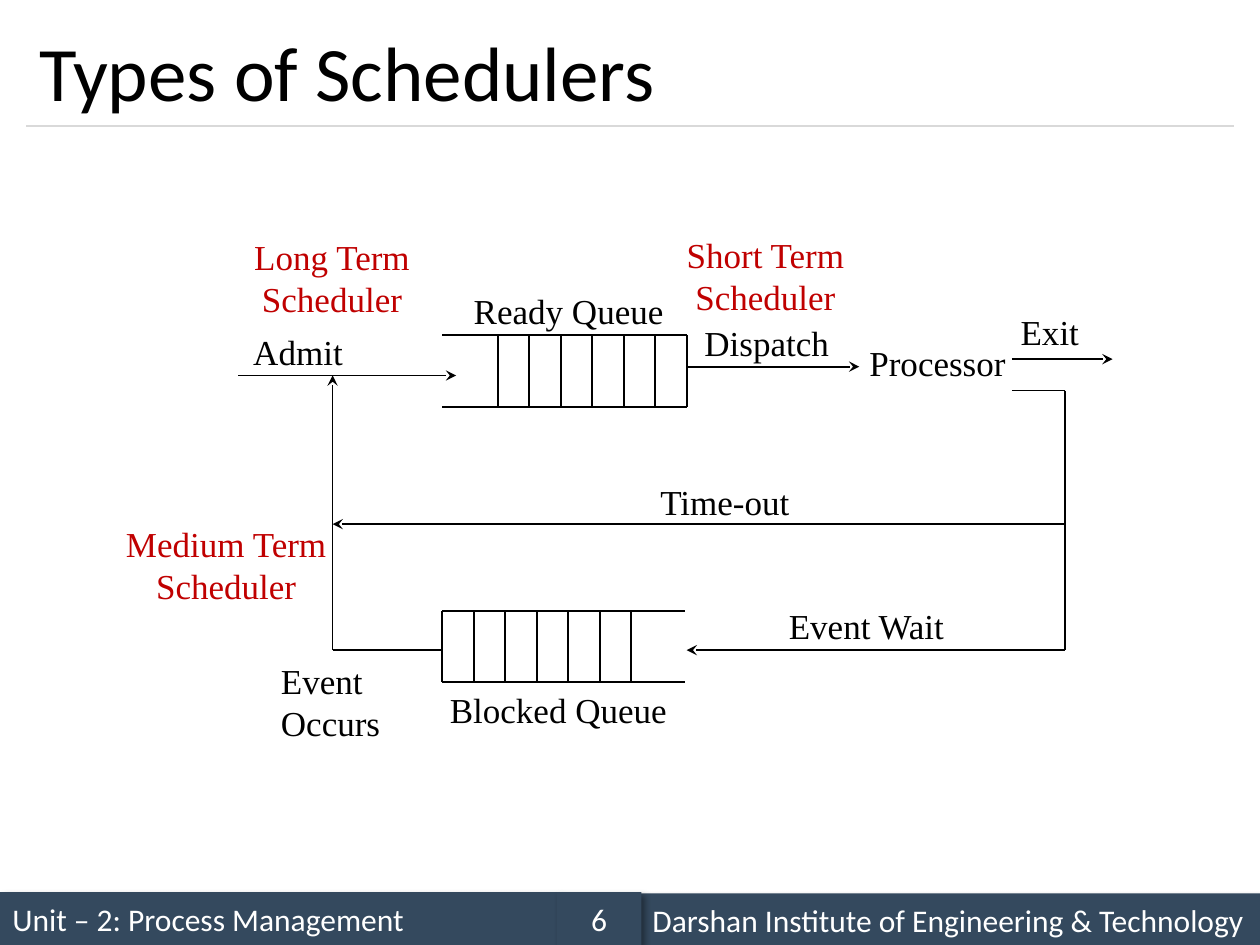
from dataclasses import dataclass

from lxml.etree import SubElement
from pptx import Presentation
from pptx.dml.color import RGBColor as RGB
from pptx.enum.shapes import MSO_CONNECTOR as CONNECTOR, MSO_SHAPE as SHAPE
from pptx.enum.text import MSO_ANCHOR as ANCHOR, MSO_AUTO_SIZE as AUTO_SIZE, PP_ALIGN as ALIGN
from pptx.oxml.ns import qn
from pptx.util import Pt


@dataclass(frozen=True)
class Theme:
    """Colours, fonts and type sizes of the slide."""
    ink: RGB = RGB(0x00, 0x00, 0x00)
    scheduler: RGB = RGB(0xC0, 0x00, 0x00)
    rule: RGB = RGB(0xD9, 0xD9, 0xD9)
    bar: RGB = RGB(0x34, 0x49, 0x5E)
    bar_text: RGB = RGB(0xFF, 0xFF, 0xFF)
    heading_font: str = "Calibri"
    diagram_font: str = "Times New Roman"
    title_size: Pt = Pt(44)
    label_size: Pt = Pt(20)
    bar_size: Pt = Pt(18)


theme = Theme()
PX = 9144

prs = Presentation()
prs.slide_width, prs.slide_height = 1000 * PX, 750 * PX
slide = prs.slides.add_slide(prs.slide_layouts[5])
shapes = slide.shapes


def draw_line(x1, y1, x2, y2, arrow=False, color=theme.ink, width=1):
    line = shapes.add_connector(CONNECTOR.STRAIGHT, x1 * PX, y1 * PX, x2 * PX, y2 * PX)
    line.line.color.rgb = color
    line.line.width = Pt(width)
    if arrow:
        SubElement(line.line._get_or_add_ln(), qn("a:tailEnd"), type="stealth")
    SubElement(line._element.spPr, qn("a:effectLst"))


def set_text(frame, text, font, size, color, align=ALIGN.LEFT):
    frame.text = text
    for paragraph in frame.paragraphs:
        paragraph.alignment = align
        paragraph.font.name = font
        paragraph.font.size = size
        paragraph.font.color.rgb = color


title = shapes.title
title.left, title.top, title.width, title.height = 21 * PX, 12 * PX, 958 * PX, 88 * PX
title.text_frame.vertical_anchor = ANCHOR.MIDDLE
set_text(title.text_frame, "Types of Schedulers", theme.heading_font, theme.title_size, theme.ink)
draw_line(21, 100, 979, 100, color=theme.rule, width=0.75)

footer = [
    ("Unit – 2: Process Management", 0, 708, 442, ALIGN.LEFT),
    ("Darshan Institute of Engineering & Technology", 508, 709, 492, ALIGN.LEFT),
    ("6", 442, 708, 67, ALIGN.CENTER),
]
for text, left, top, width, align in footer:
    bar = shapes.add_shape(SHAPE.RECTANGLE, left * PX, top * PX, width * PX, 42 * PX)
    bar.fill.solid()
    bar.fill.fore_color.rgb = theme.bar
    bar.line.fill.background()
    bar.shadow.inherit = False
    effects = bar._element.spPr.find(qn("a:effectLst"))
    shadow = SubElement(effects, qn("a:outerShdw"), blurRad=str(Pt(4)), dist=str(Pt(3)),
                        dir="2700000", algn="tl", rotWithShape="0")
    shadow_color = SubElement(shadow, qn("a:srgbClr"), val="000000")
    SubElement(shadow_color, qn("a:alpha"), val="40000")
    bar.text_frame.vertical_anchor = ANCHOR.MIDDLE
    bar.text_frame.word_wrap = True
    set_text(bar.text_frame, text, theme.heading_font, theme.bar_size, theme.bar_text, align)

queues = [(351, 545, 266, 323, 395), (351, 544, 485, 541, 351)]
for left, right, top, bottom, first_slot in queues:
    for y in (top, bottom):
        draw_line(left, y, right, y)
    for slot in range(7):
        x = first_slot + 25 * slot
        draw_line(x, top, x, bottom)

flows = [
    (189, 298, 362, 298, True),
    (546, 291, 682, 291, True),
    (803, 285, 883, 285, True),
    (351, 516, 264, 516, False),
    (264, 516, 264, 298, True),
    (803, 310, 845, 310, False),
    (845, 310, 845, 516, False),
    (845, 516, 545, 516, True),
    (845, 416, 264, 416, True),
]
for flow in flows:
    draw_line(*flow)

steps = [
    ("Admit", 194, 258, 87, 41),
    ("Ready Queue", 369, 226, 167, 41),
    ("Dispatch", 552, 251, 115, 41),
    ("Time-out", 517, 377, 118, 41),
    ("Event Wait", 619, 476, 139, 41),
    ("Exit", 803, 242, 62, 41),
    ("Processor", 683, 267, 124, 41),
    ("Blocked Queue", 350, 542, 189, 41),
    ("Event\nOccurs", 216, 519, 94, 75),
]
schedulers = [
    ("Long Term\nScheduler", 194, 183, 139, 75),
    ("Short Term\nScheduler", 537, 181, 141, 75),
    ("Medium Term\nScheduler", 92, 411, 175, 75),
]
for labels, color, align in ((steps, theme.ink, ALIGN.LEFT),
                             (schedulers, theme.scheduler, ALIGN.CENTER)):
    for text, left, top, width, height in labels:
        frame = shapes.add_textbox(left * PX, top * PX, width * PX, height * PX).text_frame
        frame.margin_left = frame.margin_right = 7 * PX
        frame.margin_top = frame.margin_bottom = 4 * PX
        frame.word_wrap = False
        frame.auto_size = AUTO_SIZE.SHAPE_TO_FIT_TEXT
        set_text(frame, text, theme.diagram_font, theme.label_size, color, align)

prs.save("out.pptx")
